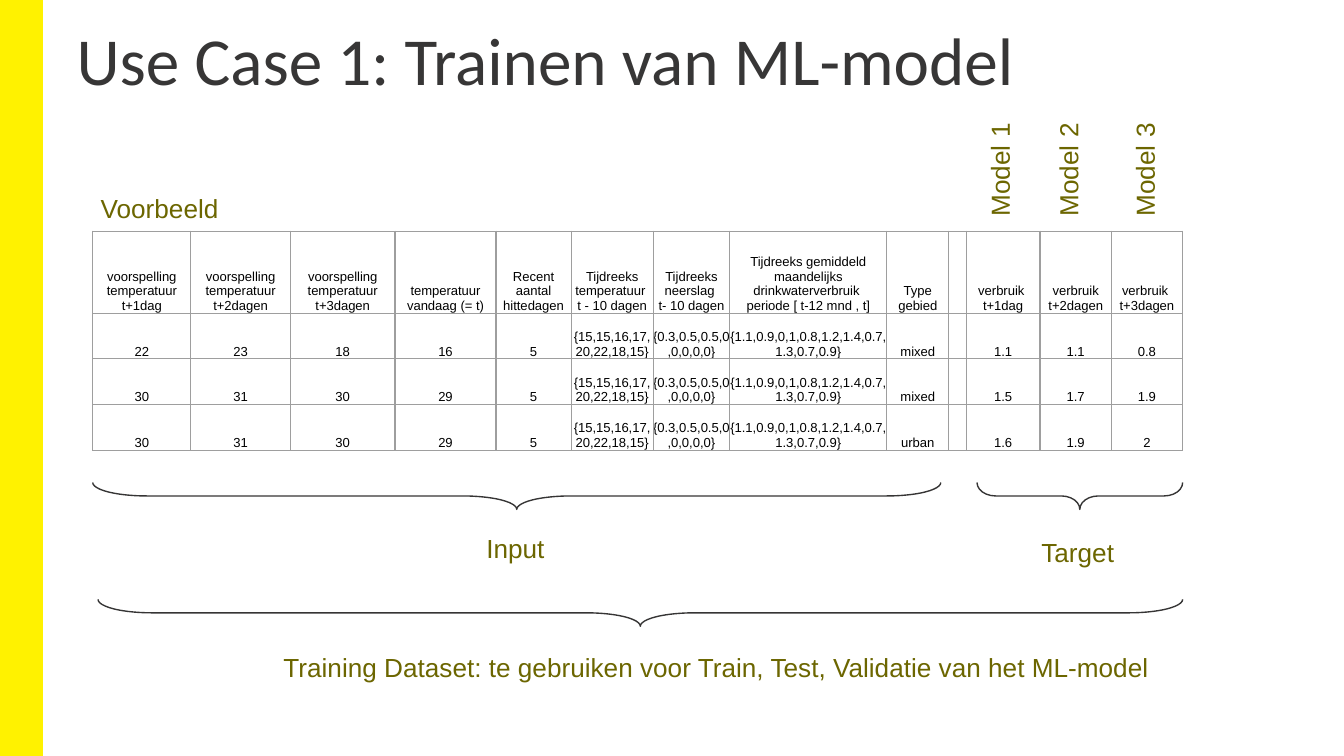
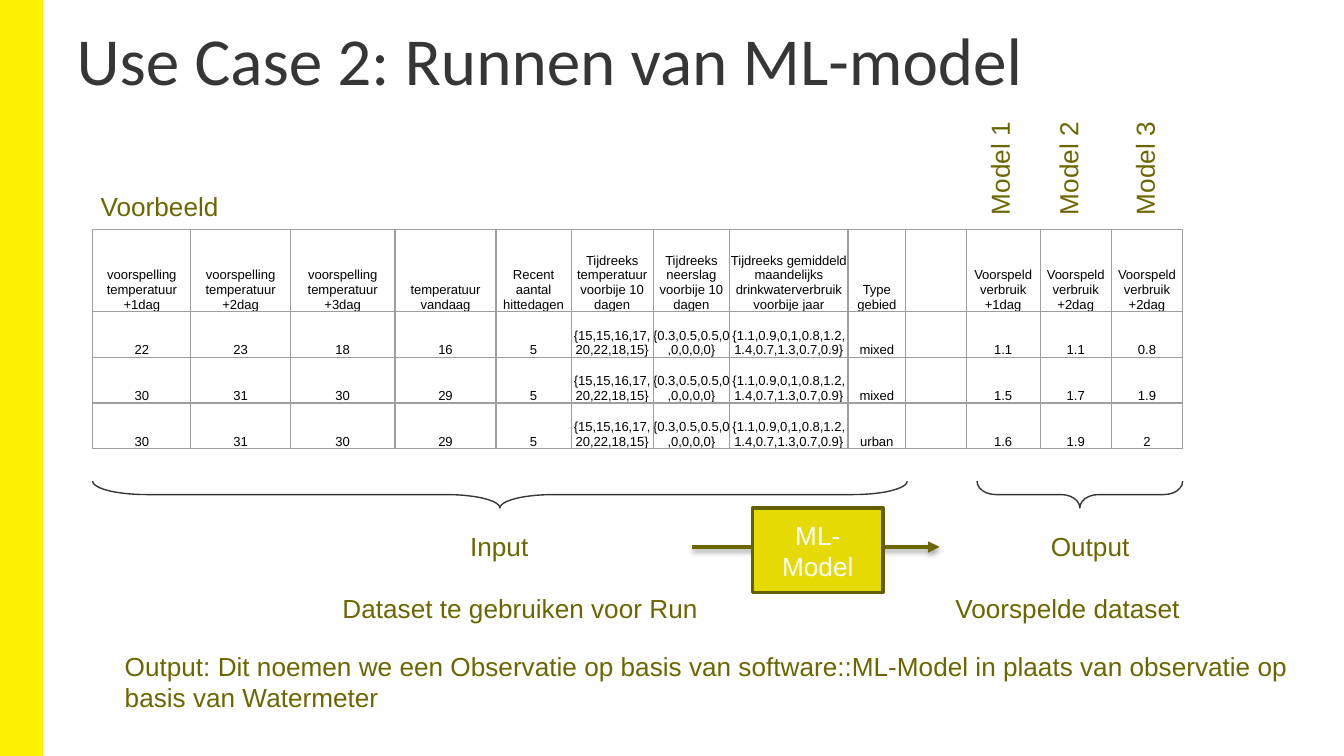
"""Build two slides on training and running a water consumption ML model."""
from lxml.etree import SubElement
from pptx import Presentation
from pptx.dml.color import RGBColor
from pptx.enum.shapes import MSO_CONNECTOR as Connector, MSO_SHAPE as Shape
from pptx.enum.text import MSO_ANCHOR as Anchor, MSO_AUTO_SIZE as AutoSize, PP_ALIGN as Align
from pptx.oxml import parse_xml
from pptx.oxml.ns import nsdecls, qn
from pptx.util import Inches, Pt

COLORS = {
    "band": "FFF200", "title": "373636", "label": "6C6600", "cell": "000000",
    "grid": "9E9E9E", "brace": "363535", "box": "E5DA04", "edge": "646002", "white": "FFFFFF",
}

TEMPERATURES = "{15,15,16,17,20,22,18,15}"
RAINFALL = "{0.3,0.5,0.5,0,0,0,0,0}"
CONSUMPTION = "{1.1,0.9,0,1,0.8,1.2,1.4,0.7,1.3,0.7,0.9}"
SERIES = [TEMPERATURES, RAINFALL, CONSUMPTION]
ROWS = [
    ["22", "23", "18", "16", "5", *SERIES, "mixed", "", "1.1", "1.1", "0.8"],
    ["30", "31", "30", "29", "5", *SERIES, "mixed", "", "1.5", "1.7", "1.9"],
    ["30", "31", "30", "29", "5", *SERIES, "urban", "", "1.6", "1.9", "2"],
]
LEFT_WIDTHS = [0.73, 0.74, 0.78, 0.75, 0.56, 0.61, 0.57]
RIGHT_WIDTHS = [0.55, 0.53, 0.53]
ROW_HEIGHTS = [0.61, 0.34, 0.34, 0.34]
MODELS = [("Model 1", 6.99), ("Model 2", 7.5), ("Model 3", 8.07)]
TABLE_LEFT = 0.69
LINE_HEIGHT = 0.34

TRAINING = {
    "title": "Use Case 1: Trainen van ML-model",
    "top": 1.72,
    "headers": [
        "voorspelling temperatuur t+1dag", "voorspelling temperatuur t+2dagen",
        "voorspelling temperatuur t+3dagen", "temperatuur vandaag (= t)",
        "Recent aantal hittedagen", "Tijdreeks temperatuur \nt - 10 dagen",
        "Tijdreeks neerslag \nt- 10 dagen",
        "Tijdreeks gemiddeld maandelijks drinkwaterverbruik \nperiode [ t-12 mnd , t]",
        "Type gebied", "", "verbruik \nt+1dag", "verbruik\nt+2dagen", "verbruik \nt+3dagen",
    ],
    "middle_widths": [1.17, 0.46, 0.13],
    "braces": [(0.69, 3.59, 6.31, 2.009), (7.27, 3.59, 1.53, 0.69), (0.73, 4.46, 8.07, 2.009)],
    "labels": [
        ("Input", 3.52, 3.91, 0.64),
        ("Target", 7.65, 3.94, 0.77),
        ("Training Dataset: te gebruiken voor Train, Test, Validatie van het ML-model",
         2.01, 4.8, 6.68),
    ],
}
RUNNING = {
    "title": "Use Case 2: Runnen van ML-model",
    "top": 1.71,
    "headers": [
        "voorspelling temperatuur +1dag", "voorspelling temperatuur +2dag",
        "voorspelling temperatuur +3dag", "temperatuur vandaag",
        "Recent aantal hittedagen", "Tijdreeks temperatuur voorbije 10 dagen",
        "Tijdreeks neerslag voorbije 10 dagen",
        "Tijdreeks gemiddeld maandelijks drinkwaterverbruik voorbije jaar",
        "Type gebied", "", "Voorspeld verbruik +1dag", "Voorspeld verbruik +2dag",
        "Voorspeld verbruik +2dag",
    ],
    "middle_widths": [0.88, 0.43, 0.45],
    "braces": [(0.69, 3.58, 6.06, 2.009), (7.27, 3.58, 1.53, 0.69)],
    "labels": [
        ("Input", 3.4, 3.9, 0.64),
        ("Output", 7.72, 3.9, 0.79),
        ("Dataset te gebruiken voor Run", 2.45, 4.36, 2.86),
        ("Voorspelde dataset", 7.01, 4.36, 1.89),
    ],
}
OUTPUT_NOTE = ("Output: Dit noemen we een Observatie op basis van software::ML-Model "
               "in plaats van observatie op basis van Watermeter")


def rgb(name):
    return RGBColor.from_string(COLORS[name])


def inches(*values):
    return [Inches(value) for value in values]


def style_text(frame, size, color, font="Arial", align=Align.LEFT):
    for para in frame.paragraphs:
        para.alignment = align
        for span in para.runs:
            span.font.size = Pt(size)
            span.font.name = font
            span.font.color.rgb = rgb(color)


def style_shape(shape, line, width, fill=None):
    shape.shadow.inherit = False
    shape.line.color.rgb = rgb(line)
    shape.line.width = Pt(width)
    if fill:
        shape.fill.solid()
        shape.fill.fore_color.rgb = rgb(fill)
    else:
        shape.fill.background()


def prepare_layout(deck, page):
    layout = page.slide_layout
    band = page.shapes.add_shape(Shape.RECTANGLE, 0, 0, Inches(0.31), deck.slide_height)
    style_shape(band, "band", 1, "band")
    layout.shapes.element.insert(2, band.element)
    title = layout.placeholders[0]
    title.left, title.top, title.width, title.height = inches(0.5, 0.1, 9.25, 0.67)


def add_title(page, text):
    frame = page.shapes.title.text_frame
    frame.text = text
    frame.auto_size = AutoSize.NONE
    frame.vertical_anchor = Anchor.MIDDLE
    frame.margin_left = frame.margin_right = Inches(0.07)
    frame.margin_top = frame.margin_bottom = Inches(0.04)
    style_text(frame, 36, "title", "Calibri")


def add_label(page, text, left, top, width, height=LINE_HEIGHT, rotation=0, wrap=False):
    box = page.shapes.add_textbox(*inches(left, top, width, height))
    box.rotation = rotation
    frame = box.text_frame
    frame.text = text
    frame.word_wrap = wrap
    frame.auto_size = AutoSize.SHAPE_TO_FIT_TEXT
    style_text(frame, 14, "label")


def add_brace(page, left, top, length, curve):
    depth = 0.2
    box = inches(left + (length - depth) / 2, top + (depth - length) / 2, depth, length)
    brace = page.shapes.add_shape(Shape.LEFT_BRACE, *box)
    brace.rotation = 270
    brace.adjustments[0] = curve
    style_shape(brace, "brace", 0.75)


def style_cell(cell, text):
    cell.text_frame.text = text
    cell.vertical_anchor = Anchor.BOTTOM
    cell.margin_left = cell.margin_right = cell.margin_top = cell.margin_bottom = 0
    style_text(cell.text_frame, 7, "cell", align=Align.CENTER)
    properties = cell._tc.get_or_add_tcPr()
    for side in ("lnL", "lnR", "lnT", "lnB"):
        border = SubElement(properties, qn(f"a:{side}"), w=str(Pt(0.75)))
        SubElement(SubElement(border, qn("a:solidFill")), qn("a:srgbClr"), val=COLORS["grid"])
    cell.fill.background()


def add_data_table(page, case):
    widths = LEFT_WIDTHS + case["middle_widths"] + RIGHT_WIDTHS
    rows = [case["headers"]] + ROWS
    table = page.shapes.add_table(
        len(rows), len(widths),
        *inches(TABLE_LEFT, case["top"], sum(widths), sum(ROW_HEIGHTS))).table
    table.first_row = table.horz_banding = False
    for column, width in zip(table.columns, widths):
        column.width = Inches(width)
    for row, height, texts in zip(table.rows, ROW_HEIGHTS, rows):
        row.height = Inches(height)
        for cell, text in zip(row.cells, texts):
            style_cell(cell, text)


def add_use_case(page, case):
    add_title(page, case["title"])
    add_data_table(page, case)
    add_label(page, "Voorbeeld", 0.65, case["top"] - LINE_HEIGHT, 1.09)
    for model, left in MODELS:
        add_label(page, model, left, case["top"] - 0.63, 0.9, rotation=270)
    for brace in case["braces"]:
        add_brace(page, *brace)
    for label in case["labels"]:
        add_label(page, *label)


def add_model_flow(page):
    arrow = page.shapes.add_connector(Connector.STRAIGHT, *inches(5.15, 4.07, 6.99, 4.07))
    arrow.line.color.rgb = rgb("label")
    arrow.line.width = Pt(2)
    SubElement(arrow.line._get_or_add_ln(), qn("a:tailEnd"), type="triangle")
    arrow.element.spPr.append(parse_xml(
        f'<a:effectLst {nsdecls("a")}><a:outerShdw blurRad="{Pt(3.1)}" dist="{Pt(1.6)}" '
        'dir="5400000" rotWithShape="0"><a:srgbClr val="000000"><a:alpha val="38000"/>'
        '</a:srgbClr></a:outerShdw></a:effectLst>'))
    box = page.shapes.add_shape(Shape.RECTANGLE, *inches(5.6, 3.78, 0.97, 0.63))
    style_shape(box, "edge", 2, "box")
    box.text_frame.text = "ML-Model"
    box.text_frame.word_wrap = True
    box.text_frame.vertical_anchor = Anchor.MIDDLE
    style_text(box.text_frame, 14, "white", align=Align.CENTER)


def main():
    deck = Presentation()
    deck.slide_width = Inches(10)
    deck.slide_height = deck.slide_width * 9 // 16
    layout = deck.slide_layouts[5]
    training, running = [deck.slides.add_slide(layout) for _ in range(2)]
    prepare_layout(deck, training)
    add_use_case(training, TRAINING)
    add_use_case(running, RUNNING)
    add_label(running, OUTPUT_NOTE, 0.83, 4.79, 9.14, 0.57, wrap=True)
    add_model_flow(running)
    deck.save("out.pptx")


if __name__ == "__main__":
    main()
